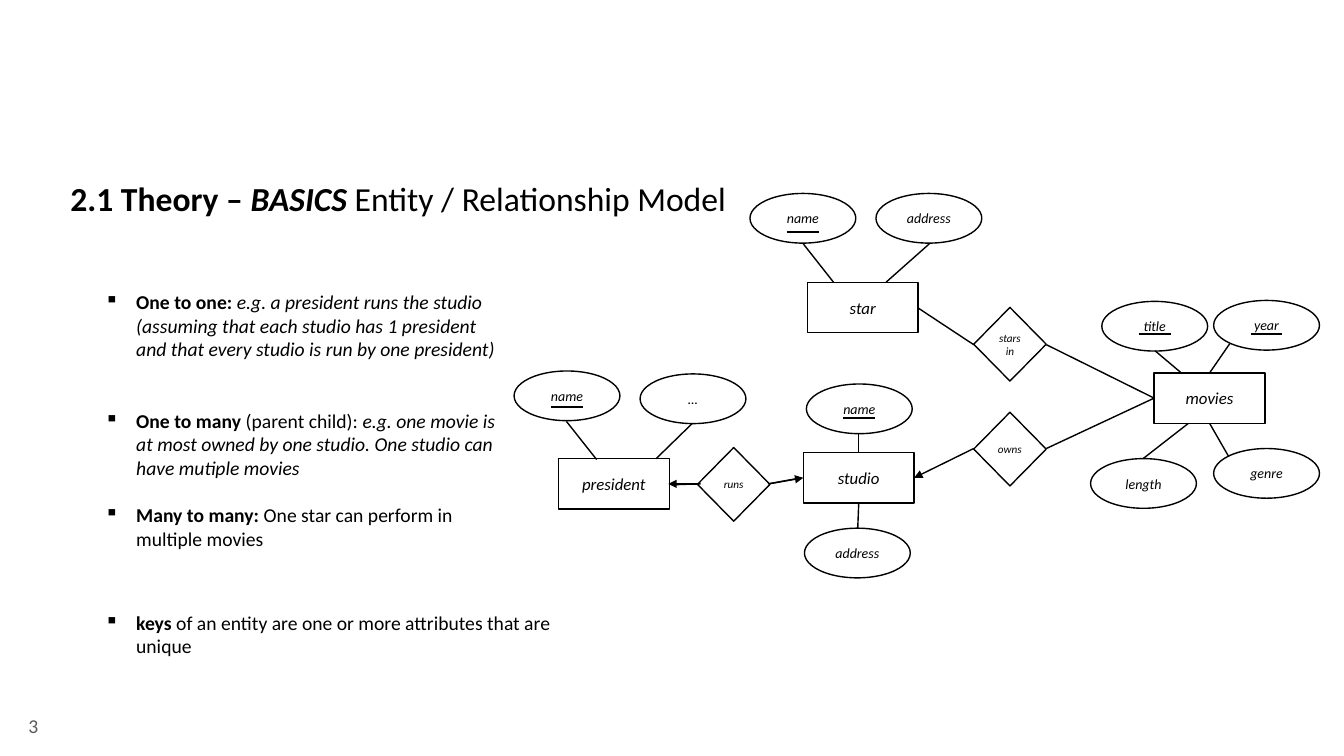
"""Build the slide on the basics of the entity / relationship model."""
from lxml.etree import SubElement
from pptx import Presentation
from pptx.dml.color import RGBColor
from pptx.enum.shapes import MSO_CONNECTOR, MSO_SHAPE
from pptx.enum.text import MSO_ANCHOR, PP_ALIGN
from pptx.oxml.ns import qn
from pptx.util import Pt

BLACK = RGBColor(0x00, 0x00, 0x00)
WHITE = RGBColor(0xFF, 0xFF, 0xFF)
GRAY = RGBColor(0x59, 0x59, 0x59)
FONT = "Calibri"

prs = Presentation()
prs.slide_width, prs.slide_height = Pt(960), Pt(540)
s = prs.slides.add_slide(prs.slide_layouts[6])


def add_text(left, top, width, height, size, paragraphs, color=BLACK, bullet=False):
    tf = s.shapes.add_textbox(Pt(left), Pt(top), Pt(width), Pt(height)).text_frame
    tf.word_wrap = True
    for i, (gap, runs) in enumerate(paragraphs):
        p = tf.add_paragraph() if i else tf.paragraphs[0]
        p.space_before = Pt(gap)
        if bullet:
            pPr = p._p.get_or_add_pPr()
            pPr.set("marL", str(Pt(22.5)))
            pPr.set("indent", str(Pt(-22.5)))
            SubElement(pPr, qn("a:buChar")).set("char", "▪")
        for text, style in runs:
            r = p.add_run()
            r.text = text
            r.font.name, r.font.size = FONT, Pt(size)
            r.font.color.rgb = color
            r.font.bold, r.font.italic = "b" in style, "i" in style
    return tf


def add_line(x1, y1, x2, y2, width=1, arrow=False):
    line = s.shapes.add_connector(MSO_CONNECTOR.STRAIGHT, Pt(x1), Pt(y1), Pt(x2), Pt(y2))
    line.line.color.rgb = BLACK
    line.line.width = Pt(width)
    if arrow:
        SubElement(line.line._get_or_add_ln(), qn("a:tailEnd")).set("type", "triangle")
    SubElement(line._element.spPr, qn("a:effectLst"))


tf = add_text(20.2, 496.8, 455.8, 43.2, 14, [(0, [("3", "")])], GRAY)
tf.margin_left = tf.margin_top = tf.margin_bottom = 0
tf.vertical_anchor = MSO_ANCHOR.MIDDLE

tf = add_text(43.2, 123.8, 487.4, 65.5, 24, [
    (0, [("2.1 Theory – ", "b"), ("BASICS ", "bi"), ("Entity / Relationship Model", "")]),
])
tf.word_wrap = False

add_text(67.7, 203.8, 303.1, 193.7, 14, [
    (0, [("One to one: ", "b"),
         ("e.g. a president runs the studio (assuming that each studio has 1 president "
          "and that every studio is run by one president)", "i")]),
    (34.2, [("One to many ", "b"), ("(parent child): ", ""),
            ("e.g. one movie is at most owned by one studio. One studio can have "
             "mutiple movies", "i")]),
    (17.1, [("Many to many: ", "b"), ("One star can perform in multiple movies", "")]),
], bullet=True)
add_text(67.7, 432.7, 347.8, 41, 14, [
    (0, [("keys", "b"), (" of an entity are one or more attributes that are unique", "")]),
], bullet=True)

entities = [("star", 576.7, 201.6), ("studio", 573.8, 323.3),
            ("movies", 824.4, 266.4), ("president", 398.9, 327.6)]
relationships = [("stars in", 695.5, 219.6), ("owns", 695.5, 294.5), ("runs", 498.2, 319.7)]
keys = [("name", 535.7, 138.2, 27.4), ("name", 367.2, 265, 25.9), ("name", 576, 274.3, 24.5),
        ("title", 787, 215.3, 23), ("year", 866.9, 214.6, 23.8)]
attributes = [("address", 625.7, 138.2), ("…", 457.2, 267.1), ("address", 574.6, 377.3),
              ("genre", 866.9, 320.4), ("length", 779, 327.6)]

node_kinds = [
    (MSO_SHAPE.RECTANGLE, 79.2, 36, 12, 3.6, entities),
    (MSO_SHAPE.DIAMOND, 51.8, 52.6, 8, 1.4, relationships),
    (MSO_SHAPE.OVAL, 75.6, 35.5, 10, 1.4, [key[:3] for key in keys] + attributes),
]
for kind, width, height, size, margin, nodes in node_kinds:
    for name, left, top in nodes:
        sp = s.shapes.add_shape(kind, Pt(left), Pt(top), Pt(width), Pt(height))
        sp.shadow.inherit = False
        sp.fill.solid()
        sp.fill.fore_color.rgb = WHITE
        sp.line.color.rgb = BLACK
        sp.line.width = Pt(1)
        tf = sp.text_frame
        tf.text = name
        tf.margin_left = tf.margin_right = tf.margin_top = tf.margin_bottom = Pt(margin)
        tf.vertical_anchor = MSO_ANCHOR.MIDDLE
        p = tf.paragraphs[0]
        p.alignment = PP_ALIGN.CENTER
        font = p.runs[0].font
        font.name, font.size, font.italic = FONT, Pt(size), True
        font.color.rgb = BLACK

for name, left, top, drop in keys:
    center = left + 37.8
    add_line(center - 11.4, top + drop, center + 11.4, top + drop, width=1.5)

links = [
    (573.8, 174.2, 595.4, 201.6), (663.8, 174.2, 632.9, 201.6),
    (404.6, 301, 426.2, 328.3), (494.6, 302.4, 468.7, 327.6),
    (613.4, 323.3, 613.4, 310.3), (612.7, 377.3, 613.4, 359.3),
    (825.1, 250.6, 843.8, 266.4), (878.4, 245.5, 864, 266.4),
    (877.7, 326.2, 864, 302.4), (816.5, 327.6, 848.9, 302.4),
    (695.5, 246.2, 655.2, 219.6), (747.4, 246.2, 824.4, 284.4),
    (747.4, 320.4, 824.4, 284.4),
    (500.4, 345.6, 479.5, 346.3), (572.4, 341.3, 548.6, 345.6),
]
for link in links:
    add_line(*link)

arrows = [(498.2, 345.6, 477.4, 345.6), (549.4, 345.6, 573.8, 341.3),
          (695.5, 320.4, 653, 341.3)]
for arrow in arrows:
    add_line(*arrow, arrow=True)

prs.save("out.pptx")
